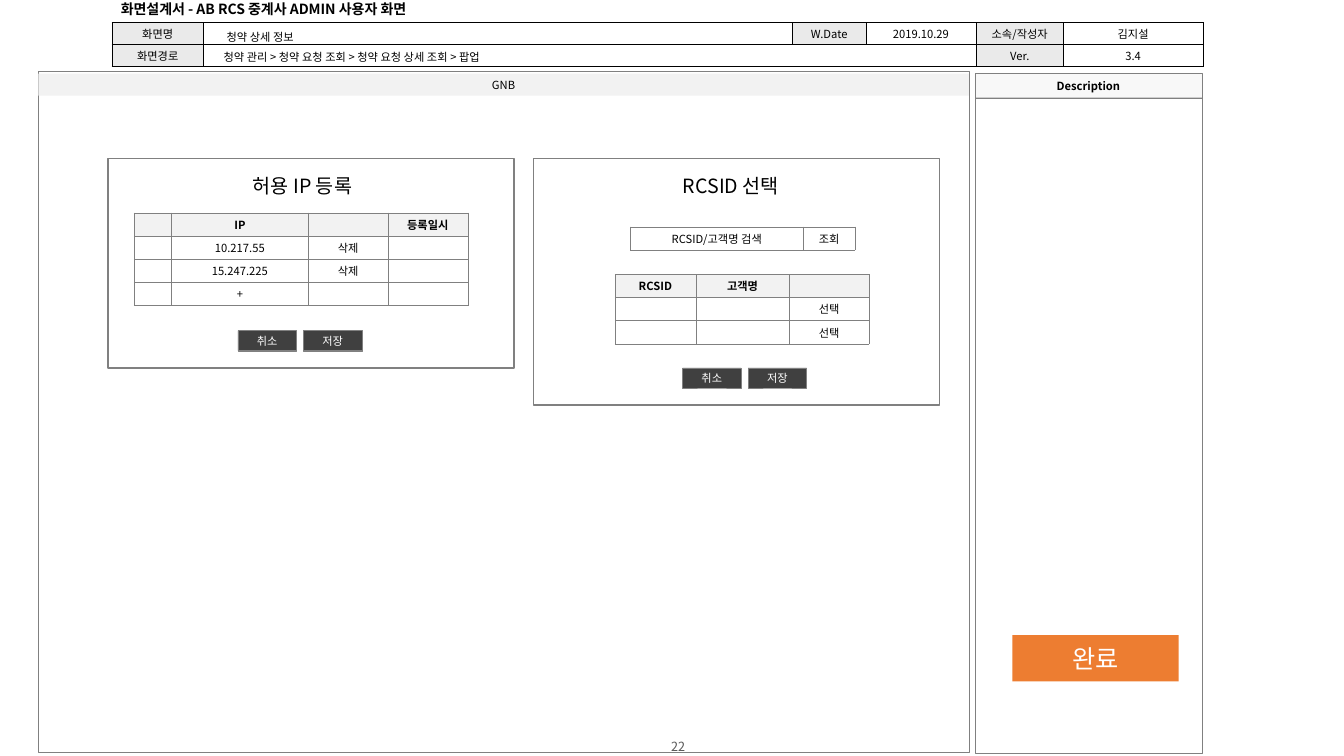
from lxml.etree import SubElement
from pptx import Presentation
from pptx.dml.color import RGBColor
from pptx.enum.shapes import MSO_SHAPE
from pptx.enum.text import MSO_ANCHOR, PP_ALIGN
from pptx.oxml.ns import qn
from pptx.util import Inches, Pt

FONT = "Noto Sans CJK KR"
BLACK, WHITE, GRAY = "000000", "FFFFFF", "808080"
LABEL, HEAD, DARK, ORANGE = "EAEAEA", "F2F2F2", "404040", "ED7D31"


def color(code):
    return RGBColor.from_string(code)


class Screen:
    """Holds the shared style and the slide being drawn."""

    def __init__(self, page):
        self.shapes = page.shapes

    def add_span(self, para, text, size=8, ink=BLACK, bold=False, align=PP_ALIGN.CENTER):
        para.alignment = align
        if not text:
            SubElement(para._p, qn("a:endParaRPr"), sz=str(size * 100))
            return
        span = para.add_run()
        span.text = text
        span.font.size, span.font.bold, span.font.name = Pt(size), bold, FONT
        span.font.color.rgb = color(ink)
        SubElement(span._r.get_or_add_rPr(), qn("a:ea"), typeface=FONT)

    def rect(self, left, top, width, height, text="", fill=None, line=None,
             weight=0.25, **style):
        box = self.shapes.add_shape(MSO_SHAPE.RECTANGLE, Inches(left), Inches(top),
                                    Inches(width), Inches(height))
        box.shadow.inherit = False
        if fill:
            box.fill.solid()
            box.fill.fore_color.rgb = color(fill)
        else:
            box.fill.background()
        if line:
            box.line.color.rgb = color(line)
            box.line.width = Pt(weight)
        else:
            box.line.fill.background()
        if text:
            box.text_frame.vertical_anchor = MSO_ANCHOR.MIDDLE
            self.add_span(box.text_frame.paragraphs[0], text, **style)

    def text(self, left, top, width, height, text, wrap=True, inset=0.1,
             anchor=MSO_ANCHOR.TOP, **style):
        box = self.shapes.add_textbox(Inches(left), Inches(top), Inches(width), Inches(height))
        frame = box.text_frame
        frame.word_wrap = wrap
        frame.vertical_anchor = anchor
        frame.margin_left = frame.margin_right = Inches(inset)
        frame.margin_top = frame.margin_bottom = Inches(inset / 2)
        self.add_span(frame.paragraphs[0], text, **style)

    def border(self, cell, line):
        properties = cell._tc.get_or_add_tcPr()
        for position, side in enumerate(("a:lnL", "a:lnR", "a:lnT", "a:lnB")):
            edge = properties.makeelement(qn(side), {"w": str(Pt(0.25))})
            fill = SubElement(edge, qn("a:solidFill"))
            SubElement(fill, qn("a:srgbClr"), val=line)
            properties.insert(position, edge)

    def table(self, left, top, columns, row_height, rows, fill_for, line=GRAY,
              bold_head=False, merge=None):
        """Draw rows of text; fill_for(row, column) gives a cell's fill or None."""
        grid = self.shapes.add_table(len(rows), len(columns), Inches(left), Inches(top),
                                     Inches(sum(columns)), Inches(row_height * len(rows))).table
        grid.first_row = grid.horz_banding = False
        for column, width in zip(grid.columns, columns):
            column.width = Inches(width)
        for r, texts in enumerate(rows):
            grid.rows[r].height = Inches(row_height)
            for c, text in enumerate(texts):
                cell = grid.cell(r, c)
                cell.vertical_anchor = MSO_ANCHOR.MIDDLE
                cell.margin_left, cell.margin_right = Inches(0.04), Inches(0.04)
                cell.margin_top = cell.margin_bottom = Inches(0.02)
                fill = fill_for(r, c)
                if fill:
                    cell.fill.solid()
                    cell.fill.fore_color.rgb = color(fill)
                else:
                    cell.fill.background()
                self.border(cell, line)
                self.add_span(cell.text_frame.paragraphs[0], text, bold=bold_head and r == 0)
        if merge:
            first, last = merge
            grid.cell(*first).merge(grid.cell(*last))

    def popup(self, left, height, title_left, title_width, title, button_left):
        """Draw a popup frame with its title and its two buttons."""
        top = 1.57
        self.rect(left, top, 4.03, height, line=GRAY, weight=1)
        self.text(title_left, 1.68, title_width, 0.34, title, wrap=False, size=14)
        for i, name in enumerate(("취소", "저장")):
            self.rect(button_left + i * 0.65, top + height - 0.37, 0.58, 0.2, name,
                      fill=DARK, line=GRAY, ink=WHITE)


def head_fill(row, column):
    return HEAD if row == 0 else None


def no_fill(row, column):
    return None


def label_fill(row, column):
    return LABEL if column in (0, 4) or (row, column) == (0, 2) else WHITE


def main():
    deck = Presentation()
    deck.slide_width, deck.slide_height = Inches(13.33), Inches(7.5)
    screen = Screen(deck.slides.add_slide(deck.slide_layouts[6]))

    screen.text(5.17, 7.34, 3.11, 0.13, "22", inset=0, anchor=MSO_ANCHOR.MIDDLE,
                size=9, ink="595959")
    screen.rect(0.38, 0.71, 9.23, 6.75, line=GRAY)
    screen.table(1.11, 0.22, [0.91, 5.84, 0.73, 1.09, 0.87, 1.38], 0.22, [
        ["화면명", "", "W.Date", "2019.10.29", "소속/작성자", "김지설"],
        ["화면경로", "", "", "", "Ver.", "3.4"],
    ], label_fill, line=BLACK, merge=((1, 1), (1, 3)))
    screen.text(1.1, -0.04, 3.47, 0.26, "화면설계서 - AB RCS 중계사 ADMIN 사용자 화면",
                anchor=MSO_ANCHOR.MIDDLE, size=10, bold=True, align=PP_ALIGN.LEFT)
    screen.rect(9.67, 0.96, 2.25, 6.51, line=GRAY)
    screen.rect(9.67, 0.73, 2.25, 0.24, "Description", fill="F8F8F8", line=GRAY, bold=True)
    screen.rect(0.38, 0.73, 9.23, 0.22, "GNB", fill=HEAD)
    screen.text(2.15, 0.25, 2.08, 0.24, "청약 상세 정보", align=PP_ALIGN.LEFT)
    screen.text(2.12, 0.45, 4.8, 0.24,
                "청약 관리 > 청약 요청 조회 > 청약 요청 상세 조회 > 팝업", align=PP_ALIGN.LEFT)

    screen.table(1.33, 2.11, [0.37, 1.36, 0.79, 0.79], 0.23, [
        ["", "IP", "", "등록일시"],
        ["", "10.217.55", "삭제", ""],
        ["", "15.247.225", "삭제", ""],
        ["", "+", "", ""],
    ], head_fill, bold_head=True)
    screen.popup(1.07, 2.08, 2.32, 1.36, "허용 IP 등록", 2.36)

    screen.table(6.1, 2.72, [0.8, 0.93, 0.79], 0.23, [
        ["RCSID", "고객명", ""],
        ["", "", "선택"],
        ["", "", "선택"],
    ], head_fill, bold_head=True)
    screen.popup(5.29, 2.45, 6.65, 1.2, "RCSID 선택", 6.77)
    screen.table(6.25, 2.25, [1.72, 0.51], 0.23, [["RCSID/고객명 검색", "조회"]], no_fill)

    screen.rect(10.04, 6.3, 1.65, 0.46, "완료", fill=ORANGE, size=18, ink=WHITE)
    deck.save("out.pptx")


if __name__ == "__main__":
    main()
